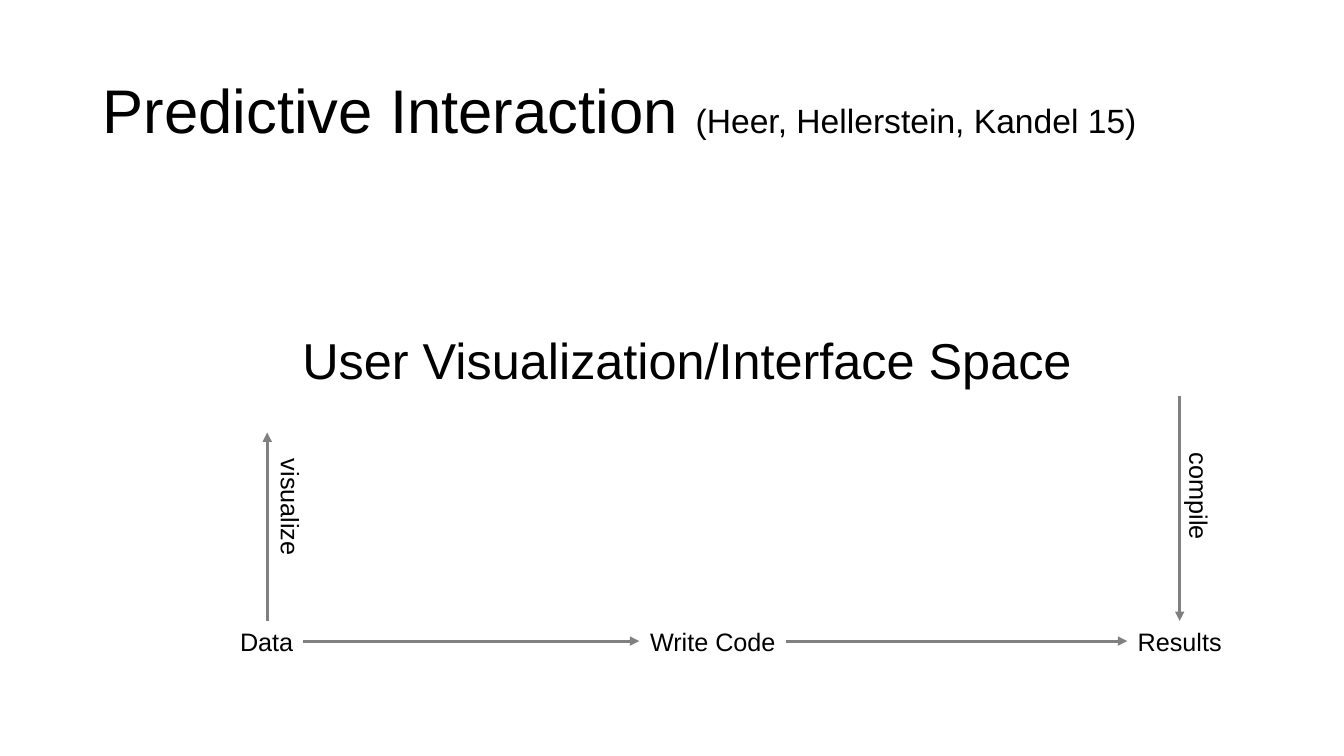
from dataclasses import dataclass

from lxml import etree
from pptx import Presentation
from pptx.dml.color import RGBColor
from pptx.enum import shapes, text
from pptx.oxml import ns
from pptx.util import Emu, Pt

PX = 9144  # EMU in one px, 100 px to the inch


@dataclass(frozen=True)
class Theme:
    font: str = "Arial"
    ink: str = "000000"
    arrow: str = "808080"
    title: int = 44
    heading: int = 36
    citation: int = 24
    label: int = 18
    arrow_width: float = 2.25


THEME = Theme()


def px(*lengths):
    return [Emu(length * PX) for length in lengths]


def apply(target, values):
    for name, value in values.items():
        setattr(target, name, value)


def add_text(page, area, spans, align="LEFT", rotation=0, **frame_format):
    """Place one paragraph made of (wording, size) spans."""
    box = page.shapes.add_textbox(*px(*area))
    box.rotation = rotation
    apply(box.text_frame, {
        "word_wrap": False,
        "auto_size": text.MSO_AUTO_SIZE.SHAPE_TO_FIT_TEXT,
        **frame_format,
    })
    para = box.text_frame.paragraphs[0]
    para.alignment = getattr(text.PP_ALIGN, align)
    for wording, size in spans:
        span = para.add_run()
        span.text = wording
        apply(span.font, {"name": THEME.font, "size": Pt(size)})
        span.font.color.rgb = RGBColor.from_string(THEME.ink)
    return para


def add_arrow(page, start, end):
    arrow = page.shapes.add_connector(
        shapes.MSO_CONNECTOR.STRAIGHT, *px(*start, *end))
    arrow.line.width = Pt(THEME.arrow_width)
    arrow.line.color.rgb = RGBColor.from_string(THEME.arrow)
    outline = arrow.line._get_or_add_ln()
    etree.SubElement(outline, ns.qn("a:tailEnd"), type="triangle")
    etree.SubElement(arrow._element.spPr, ns.qn("a:effectLst"))


def add_title(page):
    para = add_text(
        page, (92, 40, 1150, 145),
        [("Predictive Interaction ", THEME.title),
         ("(Heer, Hellerstein, Kandel 15)", THEME.citation)],
        word_wrap=True, auto_size=text.MSO_AUTO_SIZE.NONE,
        vertical_anchor=text.MSO_ANCHOR.MIDDLE)
    para.line_spacing = 0.9


def add_pipeline(page, steps, top, height):
    """Place the steps in a row and join each to the next."""
    for wording, left, width in steps:
        add_text(page, (left, top, width, height),
                 [(wording, THEME.label)], align="CENTER")
    middle = top + height // 2
    for (_, left, width), (_, next_left, _) in zip(steps, steps[1:]):
        add_arrow(page, (left + width, middle), (next_left, middle))


def main():
    deck = Presentation()
    apply(deck, {"slide_width": Emu(1333 * PX), "slide_height": Emu(750 * PX)})
    page = deck.slides.add_slide(deck.slide_layouts[6])

    add_title(page)

    # Bottom row: from data to results
    row_top, label_height = 616, 40
    steps = [("Data", 228, 73), ("Write Code", 634, 146), ("Results", 1118, 104)]
    add_pipeline(page, steps, row_top, label_height)

    # Vertical links between the row and the user space
    add_arrow(page, (265, row_top), (265, 429))
    add_arrow(page, (1170, 393), (1170, row_top))
    for wording, left, top, width in [("visualize", 230, 484, 117),
                                      ("compile", 1136, 473, 107)]:
        add_text(page, (left, top, width, label_height),
                 [(wording, THEME.label)], rotation=90)

    # User space heading
    add_text(page, (290, 322, 791, 71),
             [("User Visualization/Interface Space", THEME.heading)])

    deck.save("out.pptx")


if __name__ == "__main__":
    main()
